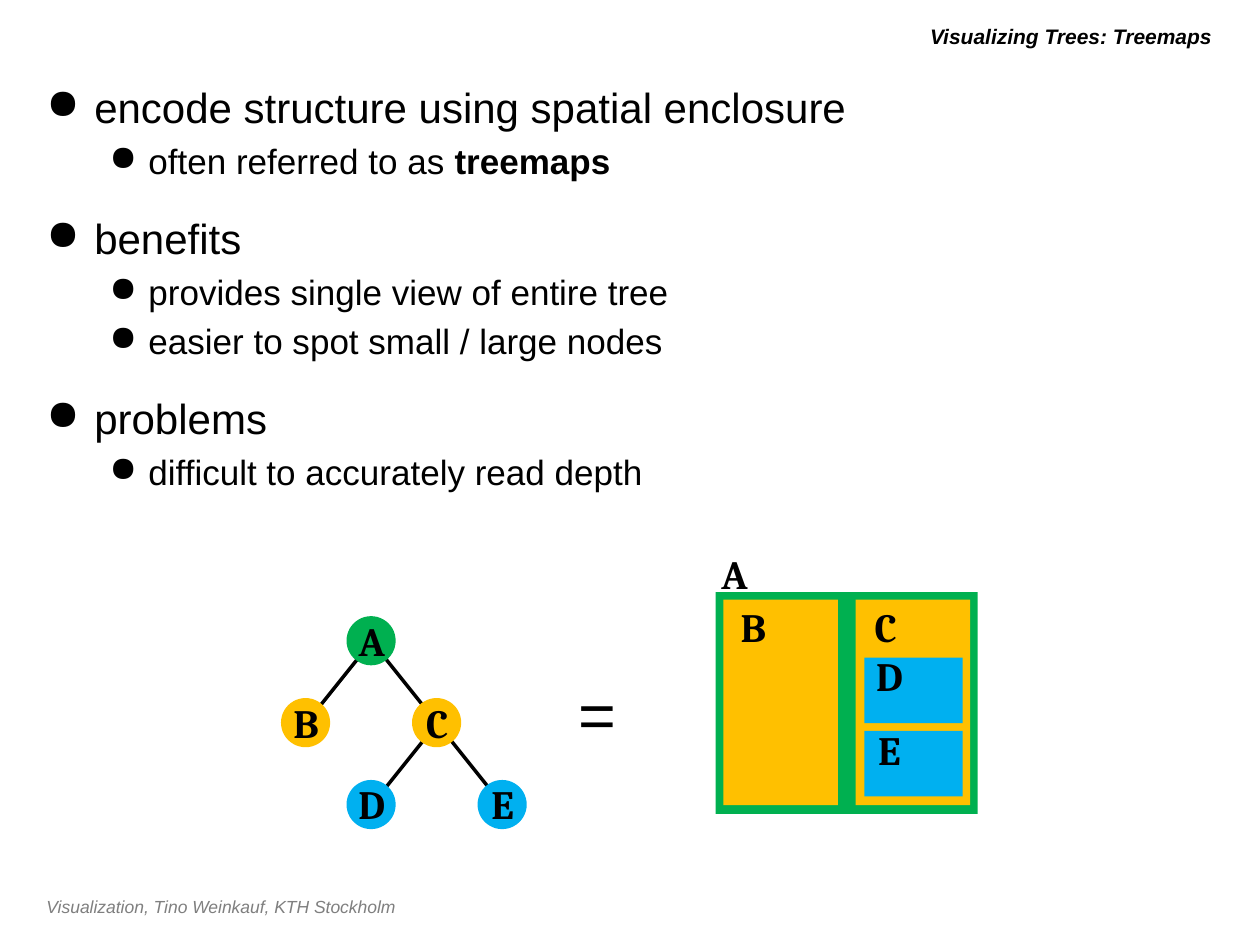
import pptx
import pptx.util
import pptx.dml.color
import pptx.enum.shapes
import pptx.enum.text
import pptx.oxml.ns
import lxml.etree

Inches, Pt = pptx.util.Inches, pptx.util.Pt
Kind = pptx.enum.shapes.MSO_SHAPE
Align = pptx.enum.text.PP_ALIGN
Anchor = pptx.enum.text.MSO_ANCHOR
HUES = {"black": "000000", "gray": "7F7F7F", "green": "00B050", "gold": "FFC000", "blue": "00B0F0"}


class Deck:
    """Style and current slide, with one method per kind of element."""

    def __init__(self, show):
        self.slide = show.slides.add_slide(show.slide_layouts[5])
        self.shapes = self.slide.shapes

    def hue(self, name):
        return pptx.dml.color.RGBColor.from_string(HUES[name])

    def run(self, para, text, size, face="Arial", hue="black", bold=False, slant=False):
        run = para.add_run()
        run.text = text
        font = run.font
        font.size, font.name, font.bold, font.italic = Pt(size), face, bold, slant
        font.color.rgb = self.hue(hue)

    def place(self, shape, *box):
        shape.left, shape.top, shape.width, shape.height = map(Inches, box)

    def title(self, text):
        head = self.shapes.title
        self.place(head, 1.58, 0.13, 8.14, 0.31)
        head.text_frame.vertical_anchor = Anchor.MIDDLE
        para = head.text_frame.paragraphs[0]
        para.alignment = Align.RIGHT
        self.run(para, text, 12, bold=True, slant=True)

    def frame(self, *box):
        frame = self.shapes.add_textbox(*map(Inches, box)).text_frame
        frame.word_wrap = True
        return frame

    def foot(self, text):
        para = self.frame(0.27, 7.06, 7.39, 0.27).paragraphs[0]
        self.run(para, text, 10, hue="gray", slant=True)

    def list(self, items, *box):
        frame = self.frame(*box)
        for index, (level, parts) in enumerate(items):
            para = frame.add_paragraph() if index else frame.paragraphs[0]
            size, left, hang, gap = ((24, 0.38, 0.38, 18), (20, 0.81, 0.31, 4))[level]
            para.level = level
            props = para._p.get_or_add_pPr()
            props.set("marL", str(Inches(left)))
            props.set("indent", str(-Inches(hang)))
            mark = lxml.etree.SubElement(props, pptx.oxml.ns.qn("a:buChar"))
            mark.set("char", "●")
            para.space_before = Pt(gap if index else 0)
            for text, bold in parts:
                self.run(para, text, size, bold=bold)

    def label(self, text, box, size=23, face="Cambria", bold=True):
        frame = self.frame(*box)
        frame.margin_left = frame.margin_right = frame.margin_top = frame.margin_bottom = 0
        frame.vertical_anchor = Anchor.MIDDLE
        para = frame.paragraphs[0]
        para.alignment = Align.CENTER
        self.run(para, text, size, face, bold=bold)

    def shape(self, kind, hue, *box):
        shape = self.shapes.add_shape(kind, *map(Inches, box))
        shape.shadow.inherit = False
        shape.fill.solid()
        shape.fill.fore_color.rgb = self.hue(hue)
        shape.line.fill.background()

    def edge(self, start, end):
        line = self.shapes.add_connector(
            pptx.enum.shapes.MSO_CONNECTOR.STRAIGHT, *map(Inches, start + end))
        line.line.width = Pt(2)
        line.line.color.rgb = self.hue("black")
        lxml.etree.SubElement(line._element.spPr, pptx.oxml.ns.qn("a:effectLst"))


def main():
    show = pptx.Presentation()
    show.slide_width, show.slide_height = Inches(10), Inches(7.5)
    deck = Deck(show)
    deck.title("Visualizing Trees: Treemaps")
    deck.foot("Visualization, Tino Weinkauf, KTH Stockholm")
    deck.list([
        (0, [("encode structure using spatial enclosure", False)]),
        (1, [("often referred to as ", False), ("treemaps", True)]),
        (0, [("benefits", False)]),
        (1, [("provides single view of entire tree", False)]),
        (1, [("easier to spot small / large nodes", False)]),
        (0, [("problems", False)]),
        (1, [("difficult to accurately read depth", False)]),
    ], 0.27, 0.6, 9.45, 6.3)

    tree = {"A": (0, 0), "B": (-1, 1), "C": (1, 1), "D": (0, 2), "E": (2, 2)}
    nodes = {name: (2.95 + 0.52 * col, 5.09 + 0.65 * row) for name, (col, row) in tree.items()}
    for start, end in ("AB", "AC", "CD", "CE"):
        deck.edge(nodes[start], nodes[end])
    for name, (x, y) in nodes.items():
        hue = ("green", "gold", "blue")[tree[name][1]]
        deck.shape(Kind.OVAL, hue, x - 0.2, y - 0.2, 0.39, 0.39)
        deck.label(name, (x - 0.2, y - 0.23, 0.4, 0.44))

    deck.label("=", (4.44, 5.33, 0.6, 0.66), 37, "Arial", False)

    deck.shape(Kind.RECTANGLE, "green", 5.68, 4.7, 2.08, 1.76)
    for x in (5.74, 6.79):
        deck.shape(Kind.RECTANGLE, "gold", x, 4.76, 0.91, 1.63)
    for y in (5.22, 5.8):
        deck.shape(Kind.RECTANGLE, "blue", 6.86, y, 0.78, 0.52)
    spots = {"A": (5.63, 4.33), "B": (5.78, 4.75), "C": (6.83, 4.75),
             "D": (6.86, 5.14), "E": (6.86, 5.73)}
    for name, spot in spots.items():
        deck.label(name, spot + (0.4, 0.44))
    show.save("out.pptx")


if __name__ == "__main__":
    main()
